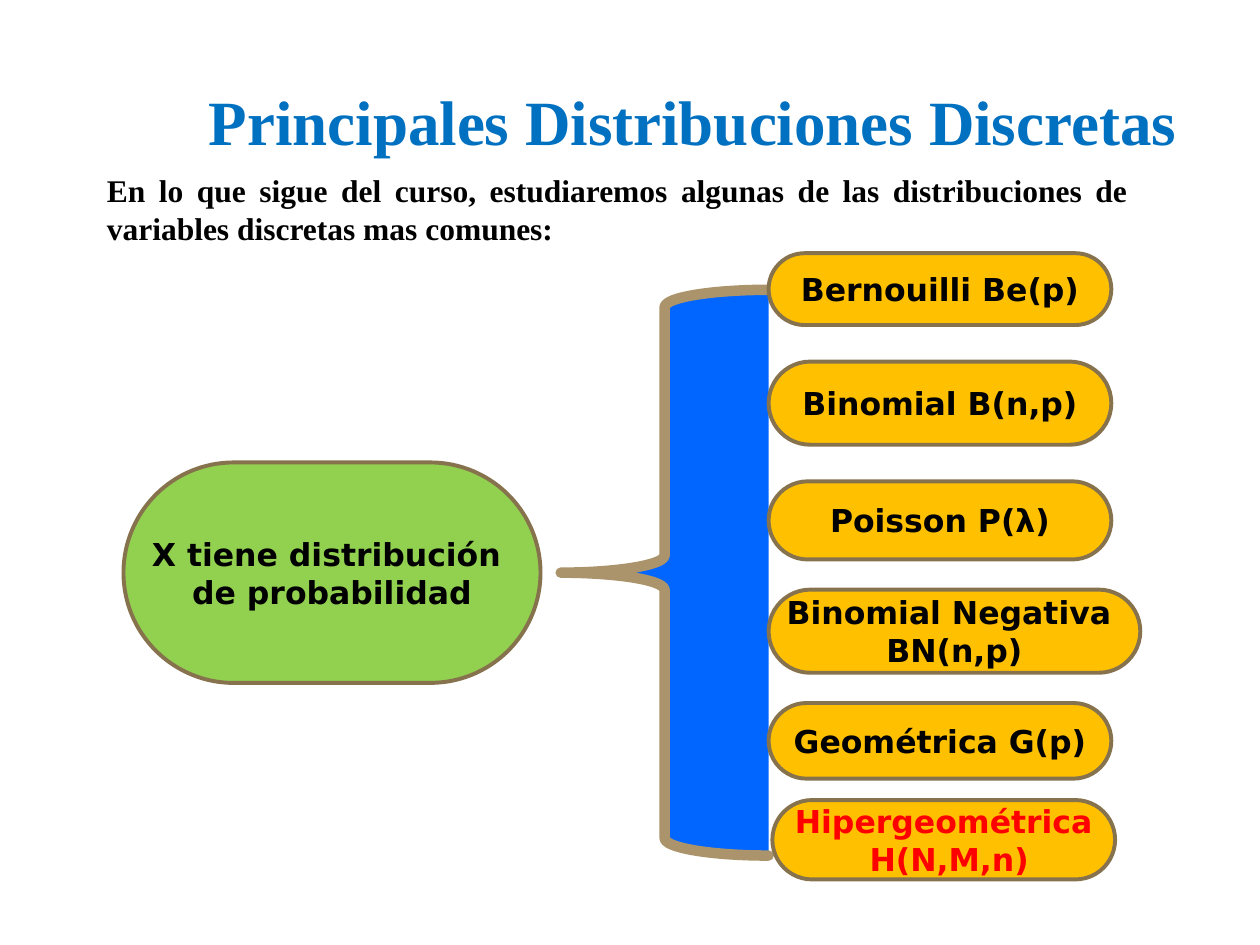
import pptx
import pptx.util
import pptx.dml.color
import pptx.enum.shapes
import pptx.enum.text

Inches, Pt = pptx.util.Inches, pptx.util.Pt
SHAPE = pptx.enum.shapes.MSO_SHAPE
ALIGN = pptx.enum.text.PP_ALIGN
MIDDLE = pptx.enum.text.MSO_ANCHOR.MIDDLE


def rgb(value):
    return pptx.dml.color.RGBColor.from_string(value)


class Deck:
    serif, sans = "Times New Roman", "DejaVu Sans"
    black, red, blue = "000000", "FF0000", "0070C0"
    amber, green, brown = "FFC000", "92D050", "86724D"

    def __init__(self):
        self.prs = pptx.Presentation()
        self.prs.slide_width, self.prs.slide_height = Inches(10), Inches(7.5)
        self.s = self.prs.slides.add_slide(self.prs.slide_layouts[5])

    def set_text(self, tf, lines, font, size, color, align):
        """Fill a text frame with one bold paragraph per line."""
        tf.vertical_anchor = MIDDLE
        for i, line in enumerate(lines):
            p = tf.add_paragraph() if i else tf.paragraphs[0]
            p.text, p.alignment = line, align
            p.font.name, p.font.size, p.font.bold = font, Pt(size), True
            p.font.color.rgb = rgb(color)

    def title(self, text, x, y, w, h):
        sp = self.s.shapes.title
        sp.left, sp.top, sp.width, sp.height = map(Inches, (x, y, w, h))
        self.set_text(sp.text_frame, [text], self.serif, 36, self.blue, ALIGN.CENTER)

    def intro(self, text, x, y, w, h):
        tf = self.s.shapes.add_textbox(*map(Inches, (x, y, w, h))).text_frame
        tf.word_wrap = True
        self.set_text(tf, [text], self.serif, 18, self.black, ALIGN.JUSTIFY)

    def shape(self, kind, box, fill, line, width):
        sp = self.s.shapes.add_shape(kind, *map(Inches, box))
        sp.shadow.inherit = False
        sp.fill.solid()
        sp.fill.fore_color.rgb = rgb(fill)
        sp.line.color.rgb = rgb(line)
        sp.line.width = Pt(width)
        return sp

    def brace(self, x, y, w, h):
        sp = self.shape(SHAPE.LEFT_BRACE, (x, y, w, h), "0066FF", "AB946B", 6)
        ln = sp.element.spPr.find(pptx.oxml.ns.qn("a:ln"))
        ln.set("cap", "rnd")

    def pill(self, lines, x, y, w, h, fill=amber, color=black):
        sp = self.shape(SHAPE.ROUNDED_RECTANGLE, (x, y, w, h), fill, self.brown, 2.25)
        sp.adjustments[0] = 0.5
        tf = sp.text_frame
        tf.word_wrap = False
        tf.margin_left = tf.margin_right = Inches(0.05)
        tf.margin_top = tf.margin_bottom = Inches(0.02)
        self.set_text(tf, lines, self.sans, 18, color, ALIGN.CENTER)


def main():
    deck = Deck()
    deck.title("Principales Distribuciones Discretas", 1.5, 0.33, 8, 1.25)
    deck.intro("En lo que sigue del curso, estudiaremos algunas de las "
               "distribuciones de variables discretas mas comunes:",
               0.75, 1.3, 8.3, 0.71)
    deck.brace(4.45, 2.3, 1.65, 4.49)

    x, w = 6.1, 2.72
    for text, y, h in [("Bernouilli Be(p)", 2.01, 0.57),
                       ("Binomial B(n,p)", 2.87, 0.66),
                       ("Poisson P(λ)", 3.82, 0.62),
                       ("Geométrica G(p)", 5.58, 0.6)]:
        deck.pill([text], x, y, w, h)
    deck.pill(["Binomial Negativa ", "BN(n,p)"], x, 4.68, 2.95, 0.66)
    deck.pill(["Hipergeométrica", " H(N,M,n)"], 6.13, 6.35, w, 0.63, color=deck.red)
    deck.pill(["X tiene distribución ", "de probabilidad"],
              0.98, 3.67, 3.31, 1.75, fill=deck.green)
    deck.prs.save("out.pptx")


if __name__ == "__main__":
    main()
